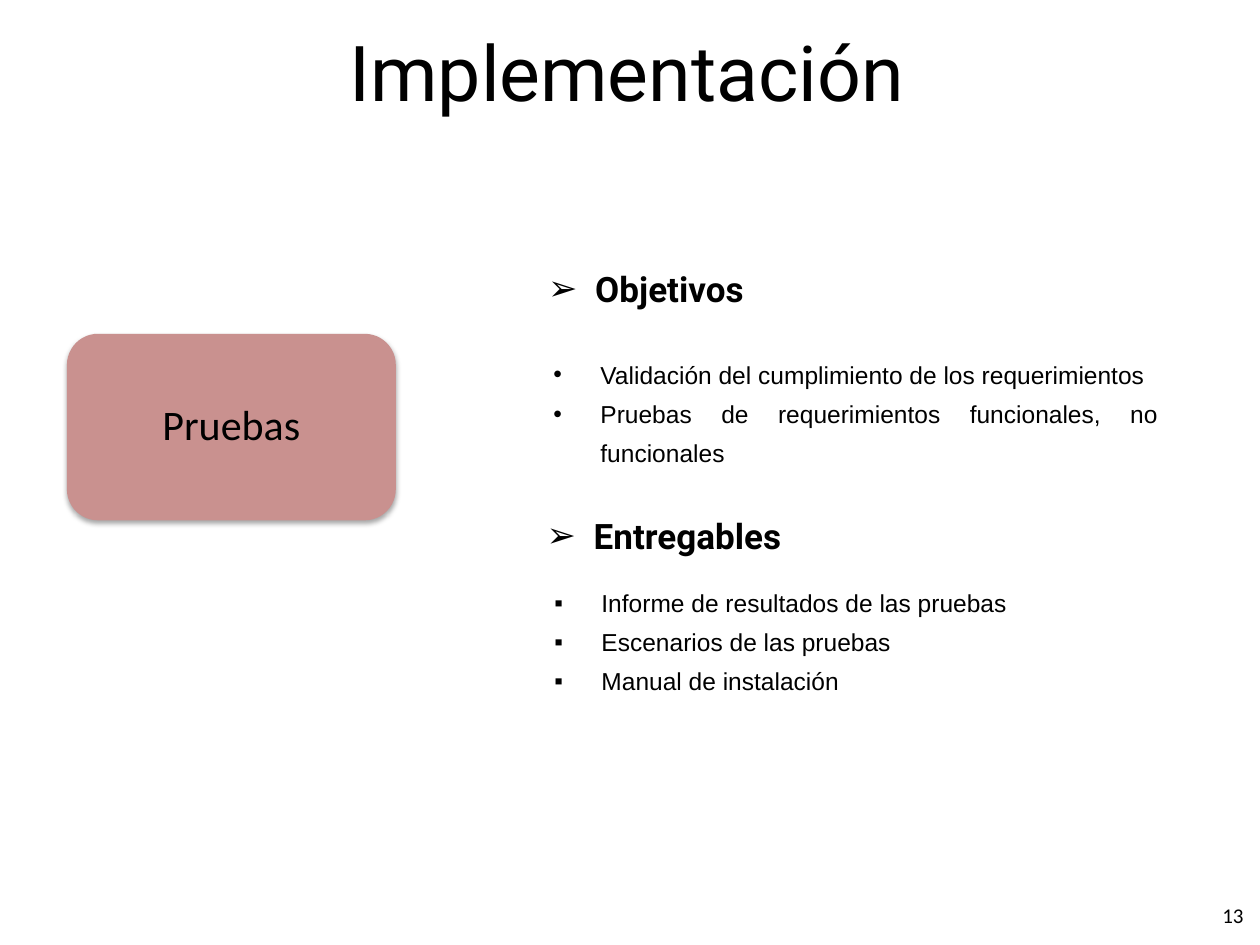
from lxml.etree import SubElement
from pptx import Presentation
from pptx.dml.color import RGBColor
from pptx.enum.shapes import MSO_SHAPE
from pptx.enum.text import MSO_ANCHOR, MSO_AUTO_SIZE, PP_ALIGN
from pptx.oxml.ns import qn
from pptx.util import Cm, Pt

TITLE = ("Implementación", (0.64, 0.53, 24, 1.8))
PHASE = ("Pruebas", (1.35, 6.73, 6.63, 3.76))
PAGE_NUMBER = ("13", (24.28, 17.93, 1.04, 1.02))
HEADINGS = [
    ("Objetivos", (10.8, 4.98, 4.65, 1.4)),
    ("Entregables", (10.77, 9.96, 5.41, 1.27)),
]
LISTS = [
    ("•", ["Validación del cumplimiento de los requerimientos",
           "Pruebas de requerimientos funcionales, no funcionales"],
     (10.9, 6.93, 12.7, 2.64)),
    ("▪", ["Informe de resultados de las pruebas",
           "Escenarios de las pruebas",
           "Manual de instalación"],
     (10.92, 11.53, 12.7, 2.64)),
]
BLACK, ROSE = "000000", "C9918F"
INDENT = Cm(0.95)


def color(hex_value):
    return RGBColor.from_string(hex_value)


def apply(target, values):
    for name, value in values.items():
        setattr(target, name, value)


def place(shape, box):
    apply(shape, dict(zip(("left", "top", "width", "height"), map(Cm, box))))


def write(shape, lines, font, size, align, anchor=MSO_ANCHOR.MIDDLE, bold=False, spacing=1.0):
    frame = shape.text_frame
    apply(frame, {"word_wrap": True, "auto_size": MSO_AUTO_SIZE.NONE, "vertical_anchor": anchor})
    frame.text = "\n".join(lines)
    for paragraph in frame.paragraphs:
        apply(paragraph, {"alignment": align, "line_spacing": spacing,
                          "space_before": Pt(0), "space_after": Pt(0)})
        for run in paragraph.runs:
            apply(run.font, {"name": font, "size": Pt(size), "bold": bold})
            run.font.color.rgb = color(BLACK)


def write_bullets(shape, lines, bullet, font, size, bold=False):
    write(shape, lines, font, size, PP_ALIGN.JUSTIFY, MSO_ANCHOR.TOP, bold, 1.33)
    paragraphs = shape.text_frame.paragraphs
    paragraphs[0].space_before = paragraphs[-1].space_after = Pt(6)
    for paragraph in paragraphs:
        properties = paragraph._p.get_or_add_pPr()
        properties.set("marL", str(INDENT))
        properties.set("indent", str(-INDENT))
        SubElement(properties, qn("a:buFont"), typeface="Arial")
        SubElement(properties, qn("a:buChar"), char=bullet)


def add_shadow(shape):
    shape.shadow.inherit = False
    effects = shape._element.spPr.find(qn("a:effectLst"))
    shadow = SubElement(effects, qn("a:outerShdw"), blurRad=str(Pt(3.1)), dist=str(Pt(1.8)),
                        dir="5400000", rotWithShape="0")
    shade = SubElement(shadow, qn("a:srgbClr"), val=BLACK)
    SubElement(shade, qn("a:alpha"), val="35000")


def main():
    """Build the testing phase slide and save it."""
    presentation = Presentation()
    apply(presentation, {"slide_width": Cm(25.4), "slide_height": Cm(19.05)})
    slide = presentation.slides.add_slide(presentation.slide_layouts[3])
    title, *bodies = slide.placeholders

    place(title, TITLE[1])
    write(title, [TITLE[0]], "Roboto", 44, PP_ALIGN.CENTER)

    phase = slide.shapes.add_shape(MSO_SHAPE.ROUNDED_RECTANGLE, *map(Cm, PHASE[1]))
    phase.fill.solid()
    phase.fill.fore_color.rgb = color(ROSE)
    phase.line.fill.background()
    add_shadow(phase)
    write(phase, [PHASE[0]], "Calibri", 24, PP_ALIGN.CENTER, spacing=0.9)

    for body, (bullet, lines, box) in zip(bodies, LISTS):
        place(body, box)
        write_bullets(body, lines, bullet, "Arial", 14)

    for heading, box in HEADINGS:
        write_bullets(slide.shapes.add_textbox(*map(Cm, box)), [heading], "➢", "Roboto", 20, True)

    number = slide.shapes.add_textbox(*map(Cm, PAGE_NUMBER[1]))
    write(number, [PAGE_NUMBER[0]], "Calibri", 12, PP_ALIGN.RIGHT)

    presentation.save("out.pptx")


if __name__ == "__main__":
    main()
